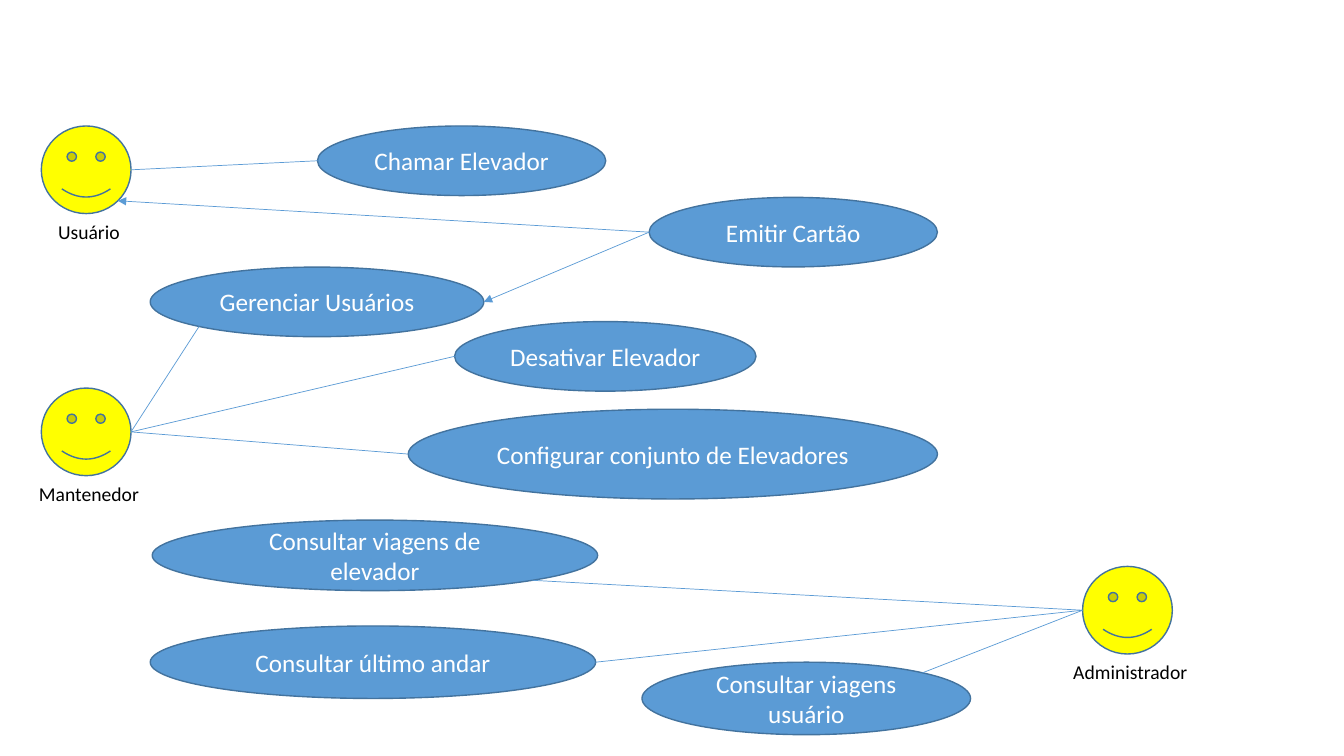
from lxml import etree
from pptx import Presentation
from pptx.dml.color import RGBColor
from pptx.enum.shapes import MSO_CONNECTOR, MSO_SHAPE
from pptx.enum.text import MSO_ANCHOR, MSO_AUTO_SIZE, PP_ALIGN
from pptx.oxml.ns import qn
from pptx.util import Pt

STRAIGHT = MSO_CONNECTOR.STRAIGHT
OVAL = MSO_SHAPE.OVAL
SMILEY_FACE = MSO_SHAPE.SMILEY_FACE
MIDDLE = MSO_ANCHOR.MIDDLE
FIT_SHAPE = MSO_AUTO_SIZE.SHAPE_TO_FIT_TEXT
CENTER = PP_ALIGN.CENTER

BLUE = "5B9BD5"
OUTLINE = "43739E"
FACE_WIDTH, FACE_HEIGHT = 64.1, 62.6
LABEL_HEIGHT = 24.5
DIAGONAL = 0.5 ** 0.5

SITES = {
    "left": (-1, 0),
    "right": (1, 0),
    "bottom left": (-DIAGONAL, DIAGONAL),
    "bottom right": (DIAGONAL, DIAGONAL),
    "top right": (DIAGONAL, -DIAGONAL),
}

use_cases = [
    ("Chamar Elevador", 226.8, 90, 205.9, 49.7),
    ("Gerenciar Usuários", 107.3, 190.8, 238.3, 49.7),
    ("Emitir Cartão", 463.7, 141, 205.9, 49.7),
    ("Desativar Elevador", 324.7, 229.7, 215.3, 49.7),
    ("Configurar conjunto de Elevadores", 291.6, 292.3, 378, 64.1),
    ("Consultar viagens de elevador", 108.7, 371.5, 318.2, 50.4),
    ("Consultar último andar", 107.3, 447.1, 318.2, 51.8),
    ("Consultar viagens usuário", 458.6, 473, 234.7, 51.8),
]

actors = [
    ("Usuário", 29.5, 90, 59),
    ("Mantenedor", 29.5, 277.2, 87.1),
    ("Administrador", 773.3, 404.6, 97.2),
]

links = [
    ("Emitir Cartão", "left", "Usuário", "bottom right", True),
    ("Usuário", "right", "Chamar Elevador", "left", False),
    ("Mantenedor", "right", "Gerenciar Usuários", "bottom left", False),
    ("Mantenedor", "right", "Configurar conjunto de Elevadores", "left", False),
    ("Mantenedor", "right", "Desativar Elevador", "left", False),
    ("Emitir Cartão", "left", "Gerenciar Usuários", "right", True),
    ("Administrador", "left", "Consultar viagens de elevador", "bottom right", False),
    ("Administrador", "left", "Consultar viagens usuário", "top right", False),
    ("Administrador", "left", "Consultar último andar", "right", False),
]


def write_text(shape, text, size, color, wrap=True):
    shape.text_frame.word_wrap = wrap
    paragraph = shape.text_frame.paragraphs[0]
    paragraph.alignment = CENTER
    run = paragraph.add_run()
    run.text = text
    run.font.name = "Calibri"
    run.font.size = Pt(size)
    run.font.color.rgb = RGBColor.from_string(color)


def add_outlined(kind, left, top, width, height, fill):
    shape = slide.shapes.add_shape(kind, Pt(left), Pt(top), Pt(width), Pt(height))
    shape.shadow.inherit = False
    shape.fill.solid()
    shape.fill.fore_color.rgb = RGBColor.from_string(fill)
    shape.line.color.rgb = RGBColor.from_string(OUTLINE)
    shape.line.width = Pt(1)
    return shape


presentation = Presentation()
presentation.slide_width = Pt(960)
presentation.slide_height = Pt(540)
slide = presentation.slides.add_slide(presentation.slide_layouts[6])
nodes = {}

for name, left, top, width, height in use_cases:
    ellipse = add_outlined(OVAL, left, top, width, height, BLUE)
    ellipse.text_frame.vertical_anchor = MIDDLE
    write_text(ellipse, name, 18, "FFFFFF")
    nodes[name] = ellipse

for name, left, top, label_width in actors:
    nodes[name] = add_outlined(SMILEY_FACE, left, top, FACE_WIDTH, FACE_HEIGHT, "FFFF00")
    label_left = left + (FACE_WIDTH - label_width) / 2 + 2
    label = slide.shapes.add_textbox(
        Pt(label_left), Pt(top + FACE_HEIGHT + 0.8), Pt(label_width), Pt(LABEL_HEIGHT)
    )
    write_text(label, name, 14, "000000", wrap=False)
    label.text_frame.auto_size = FIT_SHAPE

for start, start_site, end, end_site, has_arrow in links:
    points = []
    for name, site in ((start, start_site), (end, end_site)):
        node = nodes[name]
        across, down = SITES[site]
        points.append(int(node.left + node.width * (1 + across) / 2))
        points.append(int(node.top + node.height * (1 + down) / 2))
    connector = slide.shapes.add_connector(STRAIGHT, *points)
    connector.line.color.rgb = RGBColor.from_string(BLUE)
    connector.line.width = Pt(0.5)
    if has_arrow:
        etree.SubElement(connector.line._get_or_add_ln(), qn("a:tailEnd"), type="triangle")
    etree.SubElement(connector._element.spPr, qn("a:effectLst"))

presentation.save("out.pptx")
